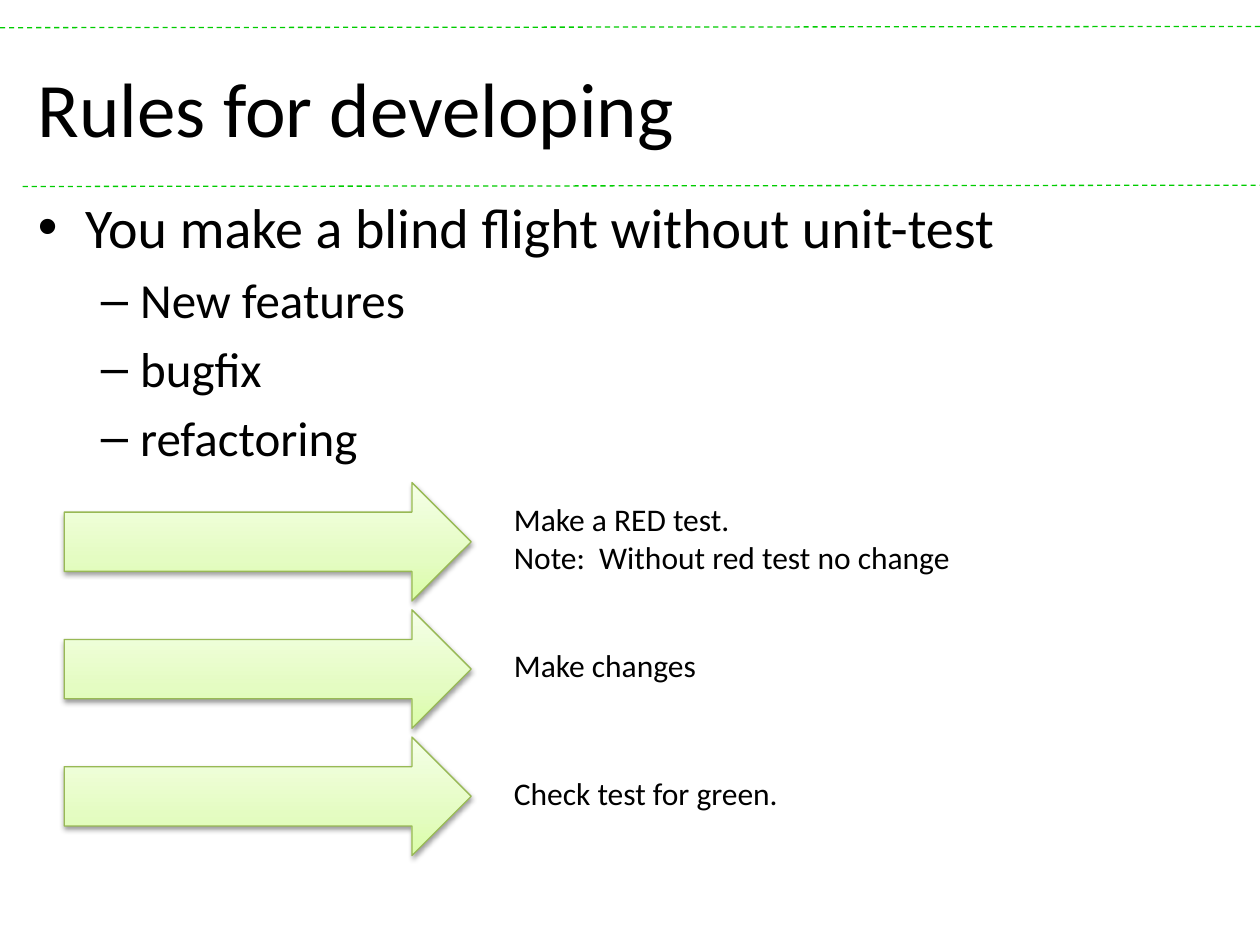
from copy import deepcopy

from lxml import etree
from pptx import Presentation
from pptx.dml.color import RGBColor
from pptx.enum.dml import MSO_LINE
from pptx.enum.shapes import MSO_CONNECTOR, MSO_SHAPE
from pptx.enum.text import MSO_ANCHOR, MSO_AUTO_SIZE, PP_ALIGN
from pptx.oxml import parse_xml
from pptx.oxml.ns import nsdecls, qn
from pptx.util import Inches, Pt

STRAIGHT = MSO_CONNECTOR.STRAIGHT
RIGHT_ARROW = MSO_SHAPE.RIGHT_ARROW
DASH = MSO_LINE.DASH
MIDDLE = MSO_ANCHOR.MIDDLE
LEFT = PP_ALIGN.LEFT
FIT_SHAPE = MSO_AUTO_SIZE.SHAPE_TO_FIT_TEXT

BLACK = RGBColor(0x00, 0x00, 0x00)
RULE_GREEN = RGBColor(0x00, 0xCC, 0x00)
ARROW_EDGE = RGBColor(0x98, 0xB9, 0x55)
ARROW_STOPS = [
    (0, RGBColor(0xDA, 0xFD, 0xA7)),
    (0.35, RGBColor(0xE4, 0xFC, 0xC2)),
    (1, RGBColor(0xF5, 0xFF, 0xE7)),
]
FONT = "Calibri"

SLIDE_WIDTH, SLIDE_HEIGHT = Inches(10), Inches(7.5)
HEADER = (Inches(0.2), Inches(0.22), Inches(9.69), Inches(1.25))
RULES = (Inches(0.2), Inches(1.48), Inches(9), Inches(5.23))
STEPS = (Inches(0.51), Inches(3.83), Inches(7.18), Inches(2.96))

POINTS = [
    ("You make a blind flight without unit-test", 0),
    ("New features", 1),
    ("bugfix", 1),
    ("refactoring", 1),
]
STEP_LABELS = [
    "Make a RED test.\vNote:  Without red test no change",
    "Make changes",
    "Check test for green.",
]


def style(paragraph, size):
    """Give a paragraph the slide's font, colour and a size in points."""
    paragraph.font.name = FONT
    paragraph.font.size = Pt(size)
    paragraph.font.color.rgb = BLACK


def place(part, box):
    """Move a placeholder into a box."""
    part.left, part.top, part.width, part.height = box


def add_rule(slide, left, right, y):
    """Draw a dashed green rule that rises slightly to the right."""
    rule = slide.shapes.add_connector(STRAIGHT, left, y, right, y - Inches(0.01))
    rule.line.color.rgb = RULE_GREEN
    rule.line.width = Pt(0.75)
    rule.line.dash_style = DASH
    etree.SubElement(rule._element.spPr, qn("a:effectLst"))


def add_header(slide, box):
    """Place the title between its two dashed rules."""
    left, top, width, height = box
    add_rule(slide, 0, SLIDE_WIDTH, top)
    add_rule(slide, Inches(0.18), Inches(10.02), top + height + Inches(0.01))
    title = slide.shapes.title
    place(title, box)
    title.text_frame.text = "Rules for developing"
    title.text_frame.vertical_anchor = MIDDLE
    heading = title.text_frame.paragraphs[0]
    heading.alignment = LEFT
    style(heading, 44)


def add_points(slide, box):
    """Fill the body with the two-level list."""
    body = slide.placeholders[1]
    place(body, box)
    frame = body.text_frame
    frame.text = "\n".join(text for text, _ in POINTS)
    for paragraph, (_, level) in zip(frame.paragraphs, POINTS):
        paragraph.level = level
        style(paragraph, 32 - 4 * level)


def add_arrow(slide, box):
    """Draw one pale green arrow with a soft shadow."""
    arrow = slide.shapes.add_shape(RIGHT_ARROW, *box)
    arrow.fill.gradient()
    arrow.fill.gradient_angle = 90
    stops = arrow._element.spPr.find(qn("a:gradFill")).find(qn("a:gsLst"))
    stops.append(deepcopy(stops[-1]))
    for stop, (position, color) in zip(arrow.fill.gradient_stops, ARROW_STOPS):
        stop.position = position
        stop.color.rgb = color
    arrow.line.color.rgb = ARROW_EDGE
    arrow.line.width = Pt(0.75)
    arrow.shadow.inherit = False
    arrow._element.spPr.find(qn("a:effectLst")).append(parse_xml(
        f'<a:outerShdw {nsdecls("a")} blurRad="{Pt(3.1)}" dist="{Pt(1.6)}" '
        'dir="5400000" rotWithShape="0"><a:srgbClr val="000000">'
        '<a:alpha val="38000"/></a:srgbClr></a:outerShdw>'))


def add_label(slide, box, text):
    """Write a step's label, centred on the height of its box."""
    label = slide.shapes.add_textbox(*box)
    frame = label.text_frame
    frame.word_wrap = False
    frame.auto_size = FIT_SHAPE
    frame.vertical_anchor = MIDDLE
    frame.text = text
    style(frame.paragraphs[0], 18)


def add_steps(slide, box):
    """Stack the steps in equal rows, arrow on the left and label on the right."""
    left, top, width, height = box
    arrow_width, arrow_height = Inches(3.23), Inches(0.94)
    label_offset, label_width = Inches(3.47), width - Inches(3.47)
    pitch = (height - arrow_height) // (len(STEP_LABELS) - 1)
    for row, text in enumerate(STEP_LABELS):
        y = top + row * pitch
        label_height = Inches(0.4 + 0.31 * text.count("\v"))
        label_top = y + (arrow_height - label_height) // 2 - Inches(0.03)
        add_arrow(slide, (left, y, arrow_width, arrow_height))
        add_label(slide, (left + label_offset, label_top, label_width, label_height), text)


def main():
    """Build and save the slide."""
    deck = Presentation()
    deck.slide_width, deck.slide_height = SLIDE_WIDTH, SLIDE_HEIGHT
    slide = deck.slides.add_slide(deck.slide_layouts[1])
    add_header(slide, HEADER)
    add_points(slide, RULES)
    add_steps(slide, STEPS)
    deck.save("out.pptx")


if __name__ == "__main__":
    main()
